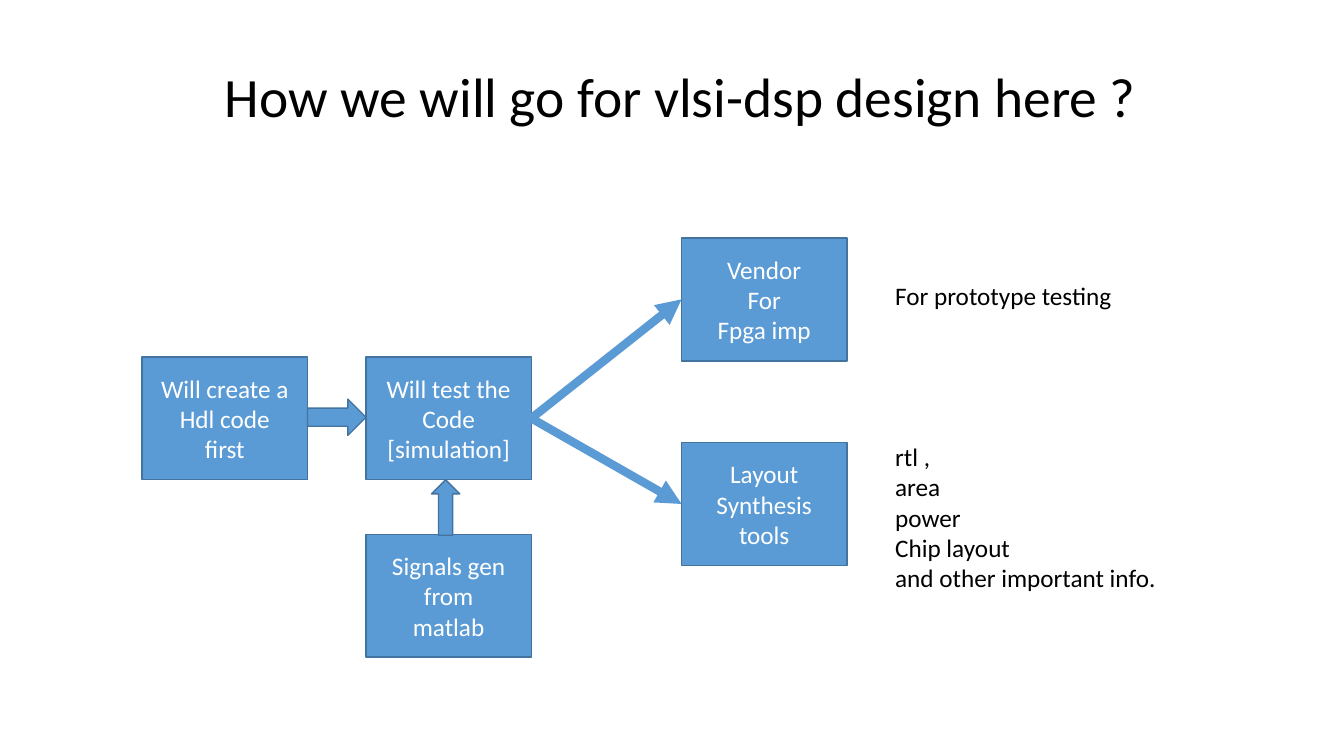
import pptx
import pptx.dml.color
import pptx.enum.shapes
import pptx.enum.text
import pptx.oxml.ns
import pptx.util
from lxml import etree

Inches = pptx.util.Inches
Pt = pptx.util.Pt
RGBColor = pptx.dml.color.RGBColor
MSO_SHAPE = pptx.enum.shapes.MSO_SHAPE
MSO_CONNECTOR = pptx.enum.shapes.MSO_CONNECTOR
PP_ALIGN = pptx.enum.text.PP_ALIGN
MSO_ANCHOR = pptx.enum.text.MSO_ANCHOR
MSO_AUTO_SIZE = pptx.enum.text.MSO_AUTO_SIZE
qn = pptx.oxml.ns.qn

BLUE = RGBColor(0x5B, 0x9B, 0xD5)
DARK_BLUE = RGBColor(0x43, 0x73, 0x9E)
WHITE = RGBColor(0xFF, 0xFF, 0xFF)
BLACK = RGBColor(0x00, 0x00, 0x00)


class FlowSlide:
    """Holds the flow chart's style and slide, and adds its elements."""

    font_name = "Calibri"
    text_size = 18
    step_width, step_height = 1.64, 1.22

    def __init__(self, slide):
        self.slide = slide

    def set_text(self, frame, lines, color, align, size=text_size):
        frame.word_wrap = True
        frame.text = "\n".join(lines)
        for paragraph in frame.paragraphs:
            paragraph.alignment = align
            paragraph.font.name = self.font_name
            paragraph.font.size = Pt(size)
            paragraph.font.color.rgb = color

    def title(self, text, left, top, width, height):
        heading = self.slide.shapes.title
        heading.left, heading.top = Inches(left), Inches(top)
        heading.width, heading.height = Inches(width), Inches(height)
        frame = heading.text_frame
        self.set_text(frame, [text], BLACK, PP_ALIGN.CENTER, 39.6)
        frame.auto_size = MSO_AUTO_SIZE.NONE
        frame.vertical_anchor = MSO_ANCHOR.MIDDLE
        frame.paragraphs[0].line_spacing = 0.9

    def block(self, kind, left, top, width, height):
        block = self.slide.shapes.add_shape(
            kind, Inches(left), Inches(top), Inches(width), Inches(height))
        block.shadow.inherit = False
        block.fill.solid()
        block.fill.fore_color.rgb = BLUE
        block.line.color.rgb = DARK_BLUE
        block.line.width = Pt(1)
        return block

    def step(self, left, top, *lines):
        step = self.block(MSO_SHAPE.RECTANGLE, left, top, self.step_width, self.step_height)
        self.set_text(step.text_frame, lines, WHITE, PP_ALIGN.CENTER)
        step.text_frame.vertical_anchor = MSO_ANCHOR.MIDDLE
        return step

    def branch(self, source, target):
        right_side, left_side = 3, 1
        branch = self.slide.shapes.add_connector(MSO_CONNECTOR.STRAIGHT, 0, 0, 0, 0)
        branch.begin_connect(source, right_side)
        branch.end_connect(target, left_side)
        branch.line.color.rgb = BLUE
        branch.line.width = Pt(6)
        outline = branch._element.spPr.find(qn("a:ln"))
        etree.SubElement(outline, qn("a:tailEnd"), type="triangle")
        etree.SubElement(branch._element.spPr, qn("a:effectLst"))

    def note(self, left, top, width, height, *lines):
        note = self.slide.shapes.add_textbox(
            Inches(left), Inches(top), Inches(width), Inches(height))
        self.set_text(note.text_frame, lines, BLACK, PP_ALIGN.LEFT)


def main():
    deck = pptx.Presentation()
    deck.slide_width, deck.slide_height = Inches(13.33), Inches(7.5)
    title_only = deck.slide_layouts[5]
    flow = FlowSlide(deck.slides.add_slide(title_only))

    flow.title("How we will go for vlsi-dsp design here ?", 1, 0.72, 11.5, 0.54)

    code_left, test_left, tools_left, notes_left = 1.41, 3.63, 6.76, 8.78
    flow.step(code_left, 3.54, "Will create a", "Hdl code", "first")
    simulation = flow.step(test_left, 3.54, "Will test the", "Code", "[simulation]")
    flow.step(test_left, 5.3, "Signals gen from", "matlab")
    flow.block(MSO_SHAPE.RIGHT_ARROW, 3.05, 3.96, 0.58, 0.36)
    flow.block(MSO_SHAPE.UP_ARROW, 4.28, 4.76, 0.28, 0.55)
    prototype = flow.step(tools_left, 2.36, "Vendor", "For", "Fpga imp")
    chip = flow.step(tools_left, 4.39, "Layout", "Synthesis", "tools")
    flow.branch(simulation, chip)
    flow.branch(simulation, prototype)
    flow.note(notes_left, 4.33, 3.41, 1.92,
              "rtl ,", "area", "power", "Chip layout", "and other important info.")
    flow.note(notes_left, 2.73, 3.41, 0.71, "For prototype testing")

    deck.save("out.pptx")


if __name__ == "__main__":
    main()
